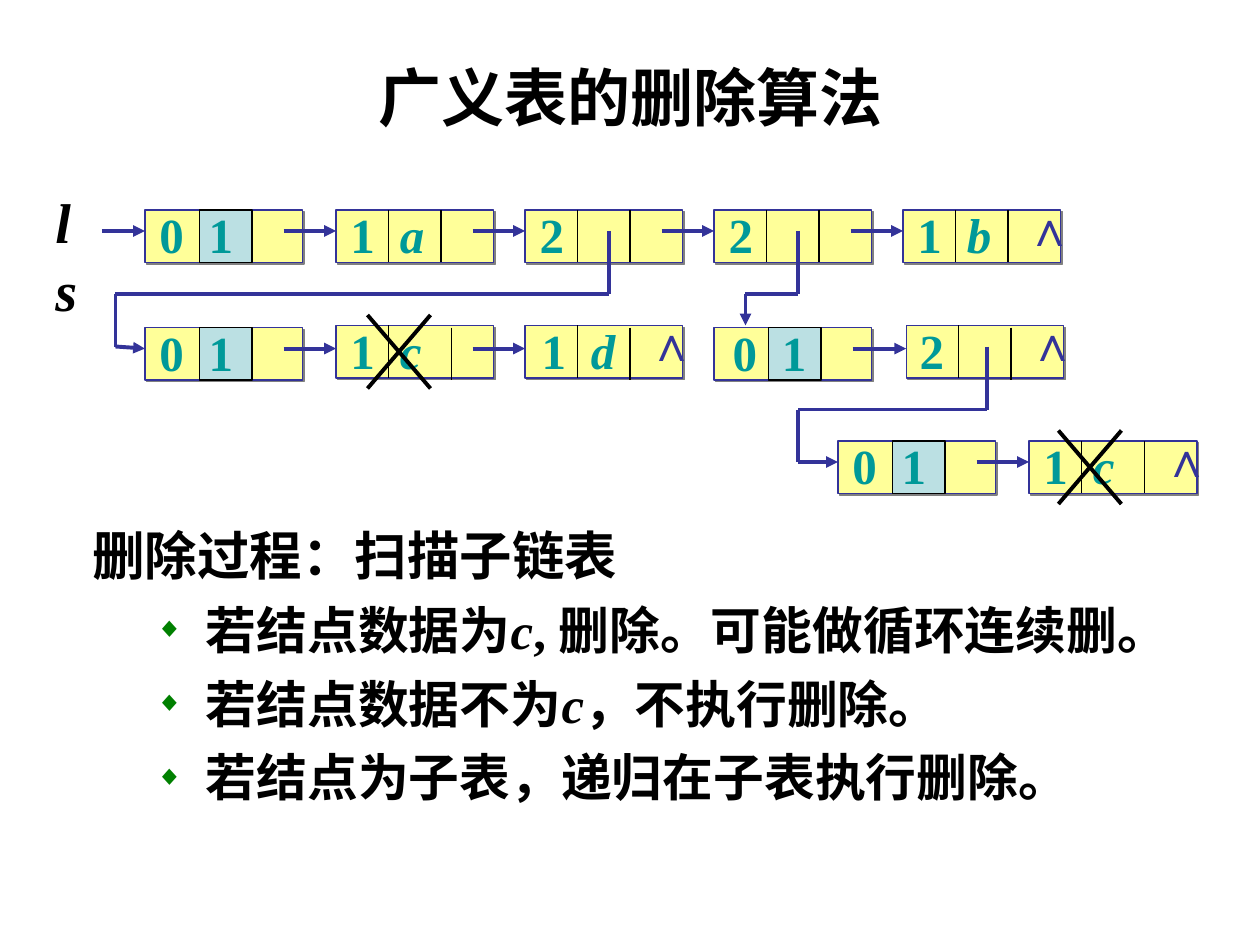
from dataclasses import dataclass
from lxml import etree
from pptx import Presentation
from pptx.dml.color import RGBColor
from pptx.enum import shapes, text
from pptx.oxml import ns
from pptx.util import Pt


@dataclass
class Theme:
    ink = RGBColor(0x00, 0x00, 0x00)
    node = RGBColor(0xFF, 0xFF, 0x99)
    tag = RGBColor(0xBB, 0xE0, 0xE3)
    edge = RGBColor(0x33, 0x33, 0x99)
    value = RGBColor(0x00, 0x99, 0x99)
    shade = "808080"
    bullet = "008000"
    serif = "Times New Roman"
    sans = "Arial"
    title = Pt(36)
    lead = Pt(30)
    item = Pt(29)
    name = Pt(32)
    cell = Pt(28)
    thin = Pt(0.75)
    thick = Pt(2.25)


look = Theme()
PX = 7620
deck = Presentation()
deck.slide_width, deck.slide_height = 1200 * PX, 900 * PX
slide = deck.slides.add_slide(deck.slide_layouts[1])


def wire(x1, y1, x2, y2, color, width, arrow=False):
    line = slide.shapes.add_connector(
        shapes.MSO_CONNECTOR.STRAIGHT, x1 * PX, y1 * PX, x2 * PX, y2 * PX)
    line.line.color.rgb = color
    line.line.width = width
    if arrow:
        etree.SubElement(line.line._get_or_add_ln(), ns.qn("a:tailEnd"), type="triangle")
    etree.SubElement(line._element.spPr, ns.qn("a:effectLst"))


def label(x, y, w, h, runs, size, color, face):
    box = slide.shapes.add_textbox(x * PX, y * PX, w * PX, h * PX)
    box.text_frame.word_wrap = False
    box.text_frame.auto_size = text.MSO_AUTO_SIZE.SHAPE_TO_FIT_TEXT
    para = box.text_frame.paragraphs[0]
    if len(runs) > 1:
        tabs = etree.SubElement(para._p.get_or_add_pPr(), ns.qn("a:tabLst"))
        etree.SubElement(tabs, ns.qn("a:tab"), pos=str(47 * PX), algn="l")
    for words, slant in runs:
        run = para.add_run()
        run.text = words
        run.font.size, run.font.name = size, face
        run.font.bold, run.font.italic = True, slant
        run.font.color.rgb = color


nodes = [
    (138, 200, 150, 2, "0", "1", False),
    (320, 200, 150, 2, "1", "a", False),
    (500, 200, 150, 2, "2", "", False),
    (680, 200, 150, 2, "2", "", False),
    (860, 200, 150, 2, "1", "b", True),
    (138, 312, 150, 2, "0", "1", False),
    (320, 310, 150, 2, "1", "c", False),
    (500, 310, 150, 4, "1", "d", True),
    (680, 312, 150, 6, "0", "1", False),
    (863, 310, 150, 1, "2", "", True),
    (798, 420, 150, 2, "0", "1", False),
    (980, 420, 160, 2, "1", "c", True),
]
for x, y, w, pad, mark, data, last in nodes:
    parts = [(x, w, look.node, look.edge)]
    if mark == "0":
        parts.append((x + 52, 50, look.tag, look.ink))
    for left, wide, fill, edge in parts:
        box = slide.shapes.add_shape(
            shapes.MSO_SHAPE.RECTANGLE, left * PX, y * PX, wide * PX, 50 * PX)
        box.fill.solid()
        box.fill.fore_color.rgb = fill
        box.line.color.rgb = edge
        box.line.width = look.thin
        box.shadow.inherit = False
        if fill == look.node:
            cast = etree.SubElement(
                box._element.spPr.find(ns.qn("a:effectLst")), ns.qn("a:outerShdw"),
                dist="17961", dir="2700000", algn="ctr", rotWithShape="0")
            etree.SubElement(cast, ns.qn("a:srgbClr"), val=look.shade)
    if mark != "0":
        second = 110 if data == "c" else 100
        drop = 2 if y == 310 else 0
        wire(x + 50, y, x + 50, y + 50, look.ink, look.thin)
        wire(x + second, y + drop, x + second, y + drop + 50, look.ink, look.thin)
    runs = [(mark, False)]
    if data:
        runs.append(("\t" + data, data.isalpha()))
    label(x + pad, y - 11, 94 if data else 47, 68, runs, look.cell, look.value, look.serif)
    if last:
        label(x + w - 45, y - 18, 40, 68, [("∧", False)], look.cell, look.edge, look.sans)

label(41, 173, 59, 77, [("ls", True)], look.name, look.ink, look.serif)

routes = [
    [(97, 220), (138, 220)],
    [(270, 220), (320, 220)],
    [(450, 220), (500, 220)],
    [(630, 220), (680, 220)],
    [(810, 220), (860, 220)],
    [(270, 332), (320, 332)],
    [(450, 332), (500, 332)],
    [(812, 332), (863, 332)],
    [(930, 440), (980, 440)],
    [(580, 220), (580, 280), (110, 280), (110, 330), (138, 332)],
    [(760, 220), (760, 280), (710, 280), (710, 310)],
    [(940, 330), (940, 390), (760, 390), (760, 440), (798, 440)],
]
for route in routes:
    for start, end in zip(route, route[1:]):
        wire(*start, *end, look.edge, look.thick, end == route[-1])

for x, y in [(350, 300), (1008, 410)]:
    wire(x, y, x + 60, y + 70, look.ink, look.thick)
    wire(x + 60, y, x, y + 70, look.ink, look.thick)

head = slide.shapes.title
head.left, head.top, head.width, head.height = 60 * PX, 42 * PX, 1080 * PX, 100 * PX
head.text_frame.vertical_anchor = text.MSO_ANCHOR.MIDDLE
para = head.text_frame.paragraphs[0]
para.alignment = text.PP_ALIGN.CENTER
run = para.add_run()
run.text = "广义表的删除算法"
run.font.size, run.font.name, run.font.bold = look.title, look.sans, True
run.font.color.rgb = look.ink

body = slide.placeholders[1]
body.left, body.top, body.width, body.height = 76 * PX, 492 * PX, 1098 * PX, 329 * PX
frame = body.text_frame
frame.auto_size = text.MSO_AUTO_SIZE.NONE
lines = [
    (0, ["删除过程：扫描子链表"]),
    (1, [" 若结点数据为", "c", ", 删除。可能做循环连续删。"]),
    (1, [" 若结点数据不为", "c", "，不执行删除。"]),
    (1, [" 若结点为子表，递归在子表执行删除。"]),
]
for row, (level, runs) in enumerate(lines):
    para = frame.add_paragraph() if row else frame.paragraphs[0]
    para.level = level
    para.space_before = Pt(7.3 if row else 0)
    props = para._p.get_or_add_pPr()
    props.set("marL", str(97 * PX * level))
    props.set("indent", str(-37 * PX * level))
    if level:
        tint = etree.SubElement(props, ns.qn("a:buClr"))
        etree.SubElement(tint, ns.qn("a:srgbClr"), val=look.bullet)
        etree.SubElement(props, ns.qn("a:buSzPct"), val="55000")
        etree.SubElement(props, ns.qn("a:buChar"), char="◆")
    else:
        etree.SubElement(props, ns.qn("a:buNone"))
    for words in runs:
        run = para.add_run()
        run.text = words
        run.font.size = look.item if level else look.lead
        run.font.name, run.font.bold = look.serif, True
        run.font.italic = words == "c"
        run.font.color.rgb = look.ink

deck.save("out.pptx")
